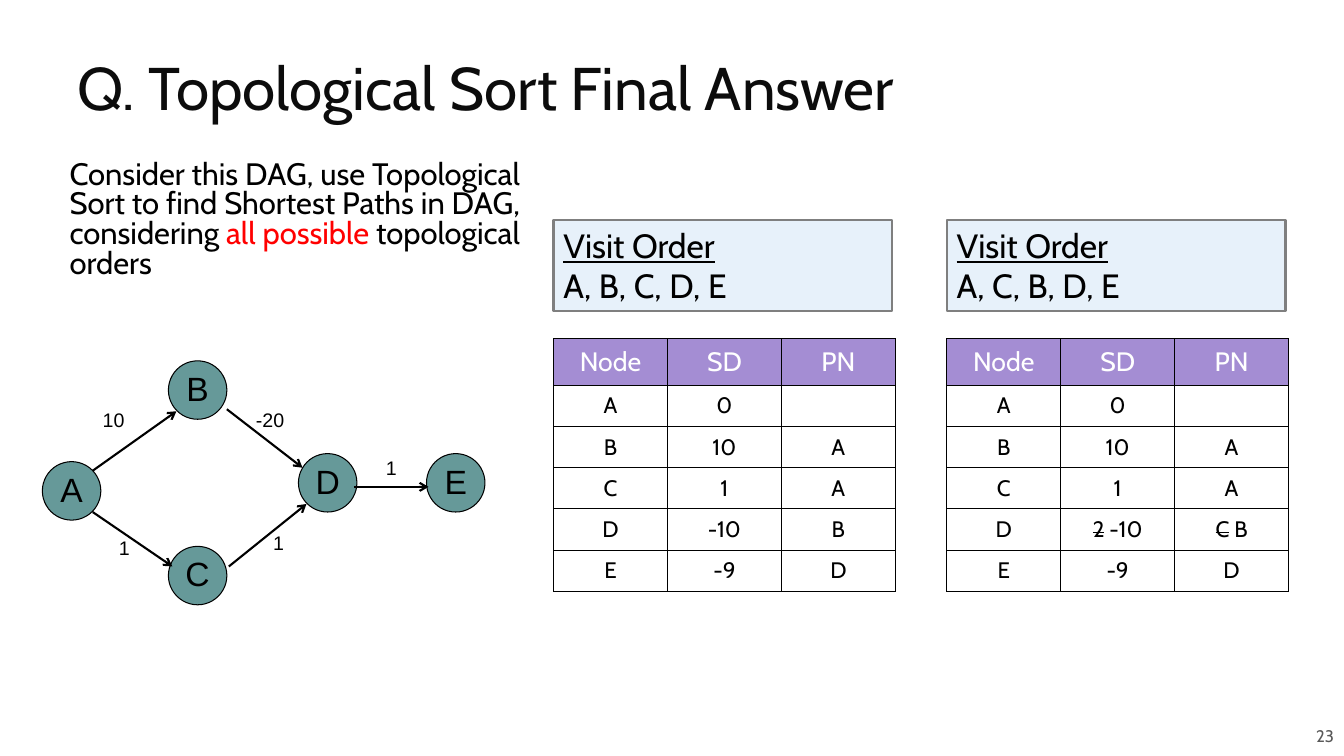
import pptx
import pptx.util
import pptx.dml.color
import pptx.enum.shapes
import pptx.enum.text
import pptx.oxml
import pptx.oxml.ns

Inches, Pt = pptx.util.Inches, pptx.util.Pt
RGB = pptx.dml.color.RGBColor.from_string
ALIGN, ANCHOR = pptx.enum.text.PP_ALIGN, pptx.enum.text.MSO_ANCHOR
SHAPE = pptx.enum.shapes.MSO_SHAPE
NS = pptx.oxml.ns.nsdecls("a")

COLORS = {
    "black": "000000", "white": "FFFFFF", "title": "0C0C0C", "red": "FF0000",
    "node": "669999", "header": "A48DD3", "box": "E7F1FA", "box_line": "7F7F7F",
    "number": "595959",
}


def add_run(p, text, size, color="black", font="Cabin", **extra):
    r = p.add_run()
    r.text = text
    for name, value in {"size": Pt(size), "name": font, **extra}.items():
        setattr(r.font, name, value)
    r.font.color.rgb = RGB(COLORS[color])
    return r


def set_frame(tf, insets, anchor=ANCHOR.TOP):
    left, top, right, bottom = [Inches(v) for v in insets]
    fmt = {"margin_left": left, "margin_top": top, "margin_right": right,
           "margin_bottom": bottom, "vertical_anchor": anchor, "word_wrap": True,
           "auto_size": pptx.enum.text.MSO_AUTO_SIZE.NONE}
    for name, value in fmt.items():
        setattr(tf, name, value)
    return tf.paragraphs[0]


prs = pptx.Presentation()
prs.slide_width, prs.slide_height = Inches(13.33), Inches(7.5)
slide = prs.slides.add_slide(prs.slide_layouts[1])
shapes = slide.shapes

# Title and question
title, body = shapes.title, slide.placeholders[1]
for sp, box in ((title, (0.67, 0.3, 12, 1.25)), (body, (0.14, 1.55, 5.14, 1.55))):
    sp.left, sp.top, sp.width, sp.height = [Inches(v) for v in box]

p = set_frame(title.text_frame, (0.1, 0.05, 0.1, 0.05), ANCHOR.MIDDLE)
p.alignment, p.line_spacing = ALIGN.LEFT, 0.8
add_run(p, "Q. Topological Sort Final Answer", 43, "title")

p = set_frame(body.text_frame, (0.05, 0.05, 0.05, 0.05))
p.line_spacing, p.space_before = 0.8, Pt(12)
pPr = p._p.get_or_add_pPr()
pPr.set("marL", str(Inches(0.5)))
pPr.set("indent", "0")
pPr.append(pptx.oxml.parse_xml(f"<a:buNone {NS}/>"))
add_run(p, "Consider this DAG, use Topological Sort to find Shortest Paths in DAG, considering ", 22.1)
add_run(p, "all possible", 22.1, "red")
add_run(p, " topological orders", 22.1)

# Graph nodes
NODE_SIZE = 0.58
nodes = {"A": (0.42, 4.58), "B": (1.67, 3.58), "C": (1.67, 5.42),
         "D": (2.96, 4.5), "E": (4.23, 4.5)}
for name, (x, y) in nodes.items():
    sp = shapes.add_shape(SHAPE.OVAL, Inches(x), Inches(y), Inches(NODE_SIZE), Inches(NODE_SIZE))
    sp.shadow.inherit = False
    sp.fill.solid()
    sp.fill.fore_color.rgb = RGB(COLORS["node"])
    sp.line.color.rgb = RGB(COLORS["black"])
    sp.line.width = Pt(0.75)
    p = set_frame(sp.text_frame, (0, 0, 0, 0.04), ANCHOR.MIDDLE)
    p.alignment = ALIGN.CENTER
    add_run(p, name, 24, font="Arial")

# Graph edges: start, end, weight, weight position
edges = [
    ((0.92, 4.67), (1.75, 4.08), "10", (0.92, 4)),
    ((0.92, 5.08), (1.71, 5.62), "1", (1.08, 5.27)),
    ((2.25, 4.06), (3, 4.64), "-20", (2.44, 4)),
    ((2.27, 5.62), (3.04, 5), "1", (2.61, 5.22)),
    ((3.51, 4.83), (4.25, 4.83), "1", (3.73, 4.47)),
]
for start, end, weight, (x, y) in edges:
    line = shapes.add_connector(pptx.enum.shapes.MSO_CONNECTOR.STRAIGHT,
                                *[Inches(v) for v in start + end])
    line.line.color.rgb = RGB(COLORS["black"])
    line.line.width = Pt(1.5)
    line.line._get_or_add_ln().append(pptx.oxml.parse_xml(f'<a:tailEnd {NS} type="arrow"/>'))
    line._element.spPr.append(pptx.oxml.parse_xml(f"<a:effectLst {NS}/>"))
    sp = shapes.add_textbox(Inches(x), Inches(y), Inches(0.62), Inches(0.34))
    p = set_frame(sp.text_frame, (0.1, 0.05, 0.1, 0.05))
    add_run(p, weight, 14, font="Arial")

# Visit orders with their tables; a pair holds a struck value and its replacement
header = ("Node", "SD", "PN")
first_rows = [("A", "0", ""), ("B", "10", "A"), ("C", "1", "A")]
last_row = ("E", "-9", "D")
answers = [
    (5.49, "A, B, C, D, E", ("D", "-10", "B")),
    (9.39, "A, C, B, D, E", ("D", ("2", " -10"), ("C", " B"))),
]
for x, order, d_row in answers:
    sp = shapes.add_shape(SHAPE.RECTANGLE, Inches(x), Inches(2.18), Inches(3.36), Inches(0.91))
    sp.shadow.inherit = False
    sp.fill.solid()
    sp.fill.fore_color.rgb = RGB(COLORS["box"])
    sp.line.color.rgb = RGB(COLORS["box_line"])
    sp.line.width = Pt(1.5)
    p = set_frame(sp.text_frame, (0.1, 0.05, 0.1, 0.05))
    p.alignment = ALIGN.LEFT
    add_run(p, "Visit Order", 24, underline=True)
    p = sp.text_frame.add_paragraph()
    p.alignment = ALIGN.LEFT
    add_run(p, order, 24)

    rows = [header, *first_rows, d_row, last_row]
    table = shapes.add_table(len(rows), len(header), Inches(x), Inches(3.36),
                             Inches(3.38), Inches(2.45)).table
    table.horz_banding = False
    for col in table.columns:
        col.width = Inches(1.13)
    for i, values in enumerate(rows):
        table.rows[i].height = Inches(0.4 if i else 0.44)
        size, color, fill = (16, "black", "white") if i else (19, "white", "header")
        for j, value in enumerate(values):
            cell = table.cell(i, j)
            cell.vertical_anchor = ANCHOR.MIDDLE
            for side in ("left", "top", "right", "bottom"):
                setattr(cell, f"margin_{side}", Inches(0.07))
            for side in "LRTB":
                cell._tc.get_or_add_tcPr().append(pptx.oxml.parse_xml(
                    f'<a:ln{side} {NS} w="{Pt(0.75)}"><a:solidFill>'
                    f'<a:srgbClr val="{COLORS["black"]}"/></a:solidFill></a:ln{side}>'))
            cell.fill.solid()
            cell.fill.fore_color.rgb = RGB(COLORS[fill])
            p = cell.text_frame.paragraphs[0]
            p.alignment = ALIGN.CENTER
            if isinstance(value, tuple):
                struck, value = value
                r = add_run(p, struck, size, color)
                r.font._element.set("strike", "sngStrike")
            if value:
                add_run(p, value, size, color, bold=False)
            else:
                p._p.append(pptx.oxml.parse_xml(f'<a:endParaRPr {NS} sz="{size * 100}"/>'))

# Slide number
sp = shapes.add_textbox(Inches(8.65), Inches(7.1), Inches(4.68), Inches(0.4))
p = set_frame(sp.text_frame, (0.1, 0.1, 0.1, 0.1), ANCHOR.MIDDLE)
p.alignment = ALIGN.RIGHT
add_run(p, "23", 12, "number")

prs.save("out.pptx")
